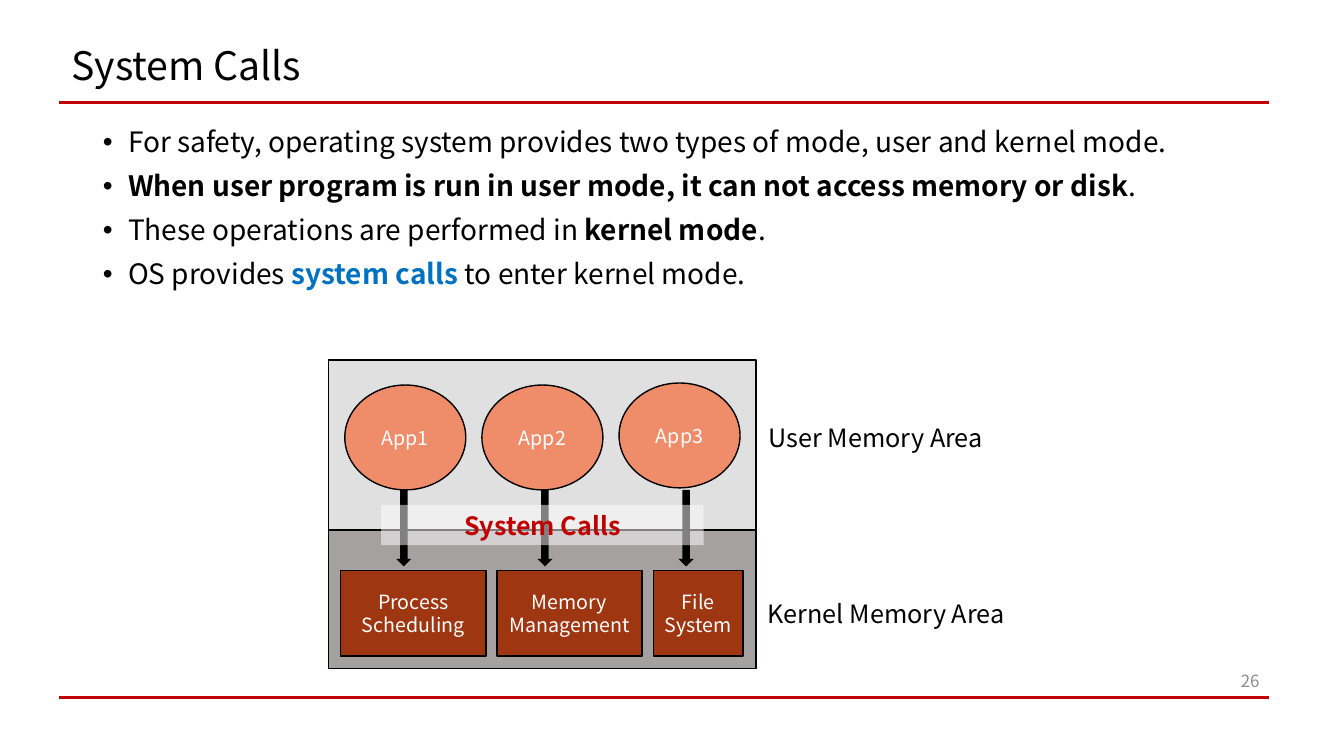
from lxml import etree
from pptx import Presentation
from pptx.dml.color import RGBColor
from pptx.enum import shapes, text
from pptx.oxml.ns import qn
from pptx.util import Inches, Pt

FONT = "Noto Sans CJK KR"
RED, BLACK, WHITE = "C00000", "000000", "FFFFFF"
KIND, ALIGN, ANCHOR = shapes.MSO_SHAPE, text.PP_ALIGN, text.MSO_ANCHOR
hue = RGBColor.from_string

deck = Presentation()
deck.slide_width, deck.slide_height = Inches(13.33), Inches(7.5)
slide = deck.slides.add_slide(deck.slide_layouts[1])


def write(item, words, size, color=BLACK, align=ALIGN.CENTER, bold=False):
    frame = item.text_frame
    frame.text = words
    for para in frame.paragraphs:
        para.alignment = align
        for run in para.runs:
            run.font.name, run.font.size, run.font.bold = FONT, Pt(size), bold
            run.font.color.rgb = hue(color)


def draw(kind, box, fill, line=BLACK):
    """Add a filled shape at box (left, top, width, height), outlined unless line is None."""
    item = slide.shapes.add_shape(kind, *map(Inches, box))
    item.shadow.inherit = False
    item.fill.solid()
    item.fill.fore_color.rgb = hue(fill)
    if line:
        item.line.color.rgb, item.line.width = hue(line), Pt(1)
    else:
        item.line.fill.background()
    frame = item.text_frame
    frame.margin_left = frame.margin_right = Inches(0.05)
    frame.vertical_anchor = ANCHOR.MIDDLE
    return item


# Rules above and below the content
for y in (1.02, 6.92):
    rule = slide.shapes.add_connector(
        shapes.MSO_CONNECTOR.STRAIGHT, Inches(0.59), Inches(y), Inches(12.59), Inches(y))
    rule.line.color.rgb, rule.line.width = hue(RED), Pt(2.25)
    etree.SubElement(rule.element.spPr, qn("a:effectLst"))

# Title and bullets
title, body = slide.shapes.title, slide.placeholders[1]
for holder, box in ((title, (0.61, 0.41, 11.5, 0.53)), (body, (0.92, 1.22, 11.5, 5.41))):
    holder.left, holder.top, holder.width, holder.height = map(Inches, box)
    holder.text_frame.auto_size = text.MSO_AUTO_SIZE.NONE
write(title, "System Calls", 28, align=ALIGN.LEFT)
title.text_frame.paragraphs[0].line_spacing = 0.9

# Each bullet is plain text, bold text, plain text
points = [
    ("For safety, operating system provides two types of mode, user and kernel mode.", "", ""),
    ("", "When user program is run in user mode, it can not access memory or disk", "."),
    ("These operations are performed in ", "kernel mode", "."),
    ("OS provides ", "system calls", " to enter kernel mode."),
]
frame = body.text_frame
for i, parts in enumerate(points):
    para = frame.add_paragraph() if i else frame.paragraphs[0]
    para.line_spacing, para.space_before = 0.9, Pt(10)
    props = para._p.get_or_add_pPr()
    props.set("marL", str(Inches(0.25)))
    props.set("indent", str(-Inches(0.25)))
    etree.SubElement(props, qn("a:buFont"), typeface="Arial")
    etree.SubElement(props, qn("a:buChar"), char="•")
    for j, words in enumerate(parts):
        if words:
            run = para.add_run()
            run.text = words
            run.font.name, run.font.size, run.font.bold = FONT, Pt(20), j == 1
            run.font.color.rgb = hue("0070C0" if words == "system calls" else BLACK)

# Memory areas
for name, top, high, fill, left, mid, wide in (
        ("Kernel Memory Area", 5.26, 1.37, "A6A1A1", 7.5, 5.89, 2.58),
        ("User Memory Area", 3.57, 1.69, "E1E0E0", 7.5, 4.14, 2.37)):
    draw(KIND.RECTANGLE, (3.26, top, 4.24, high), fill)
    label = slide.shapes.add_textbox(*map(Inches, (left, mid, wide, 0.4)))
    label.text_frame.word_wrap = False
    write(label, name, 18)

# Kernel services
for name, left, wide in (("Process\nScheduling", 3.38, 1.44),
                         ("Memory\nManagement", 4.93, 1.44),
                         ("File\nSystem", 6.48, 0.89)):
    write(draw(KIND.RECTANGLE, (left, 5.66, wide, 0.85), "9E3611"), name, 14, WHITE)

# Apps and their arrows into the kernel
for i, top in enumerate((3.82, 3.82, 3.8)):
    app = draw(KIND.OVAL, (3.42 + 1.36 * i, top, 1.2, 1.04), "EF8C6A")
    write(app, f"App{i + 1}", 14, WHITE)
    draw(KIND.DOWN_ARROW, (3.93 + 1.4 * i, 4.86, 0.15, 0.76), BLACK, None)

# Half-transparent band across the arrows
band = draw(KIND.RECTANGLE, (3.78, 5.01, 3.2, 0.4), WHITE, None)
tint = band.element.spPr.find(qn("a:solidFill"))[0]
etree.SubElement(tint, qn("a:alpha"), val="50000")
write(band, "System Calls", 18, RED, bold=True)

# Slide number
number = slide.shapes.add_textbox(*map(Inches, (12.1, 6.55, 0.49, 0.4)))
number.text_frame.word_wrap = True
number.text_frame.vertical_anchor = ANCHOR.MIDDLE
write(number, "26", 12, "8C8C8C", ALIGN.RIGHT)

deck.save("out.pptx")
